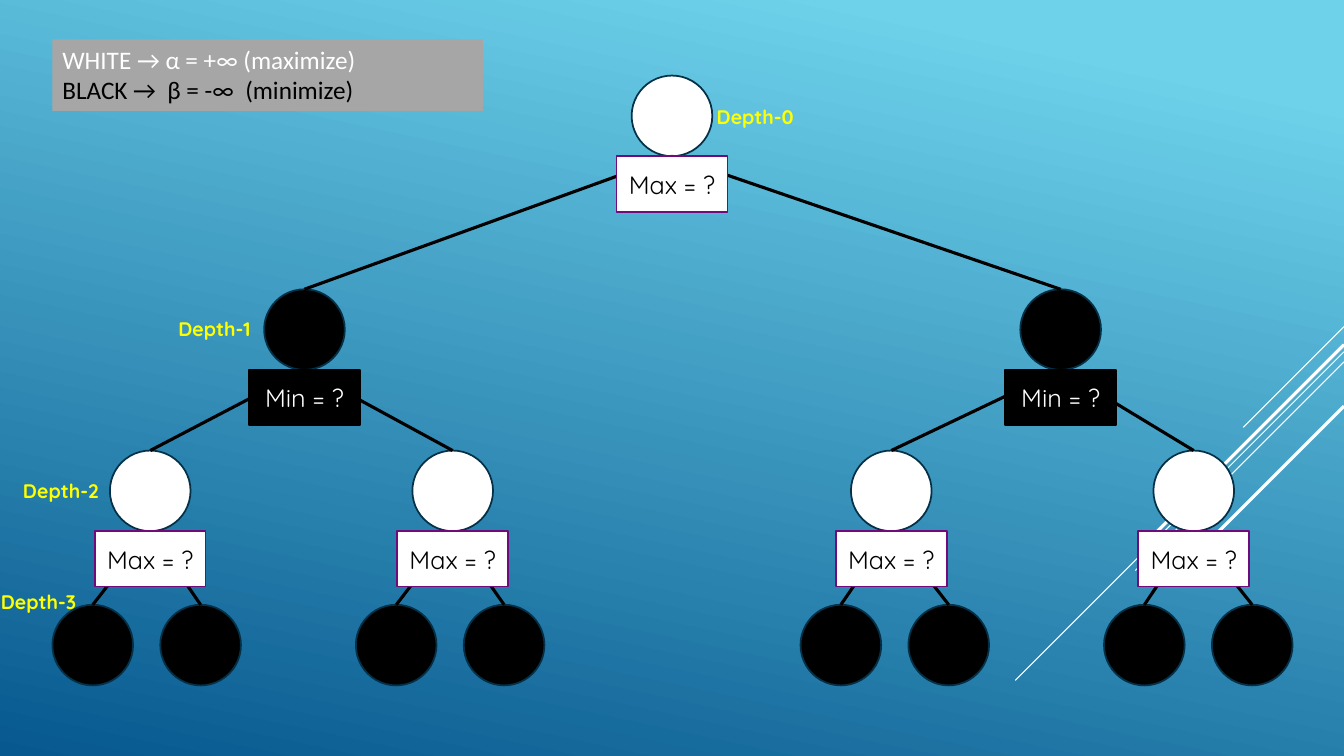
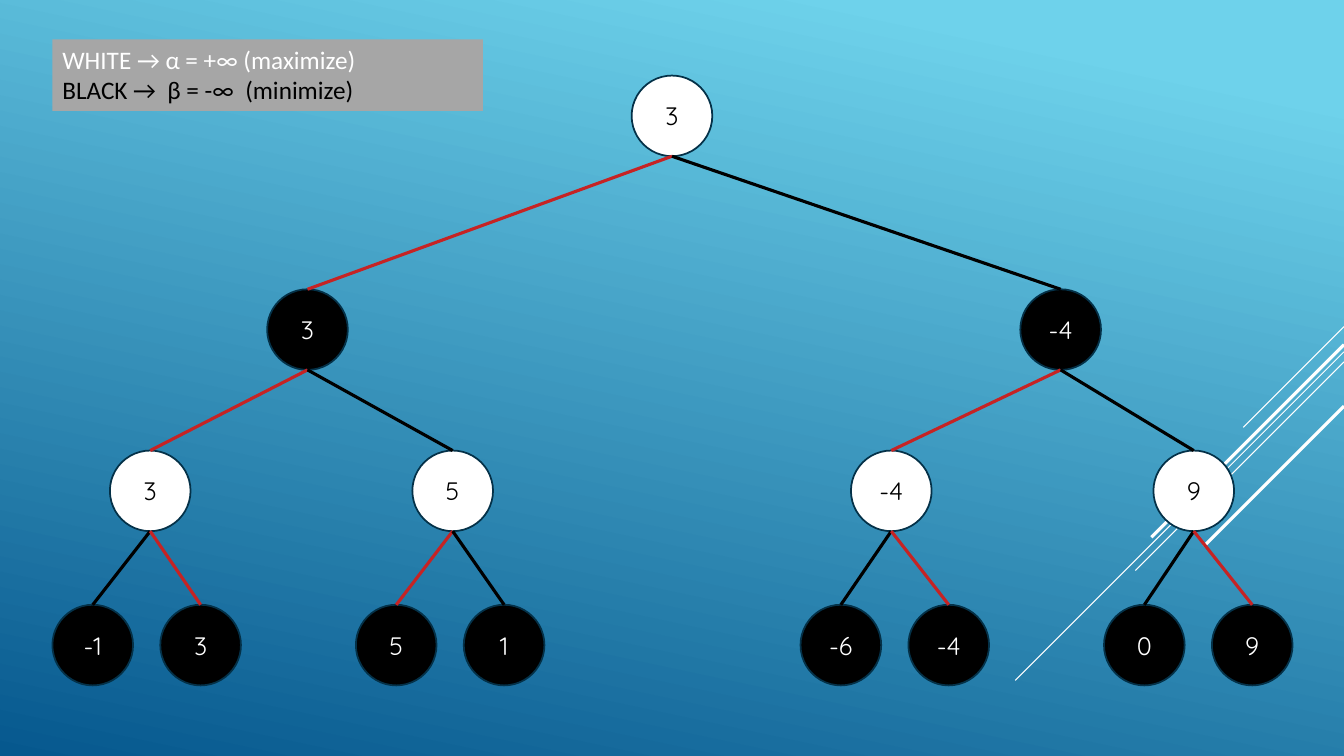
from dataclasses import dataclass
from typing import NamedTuple

from lxml import etree
from pptx import Presentation
from pptx.dml.color import RGBColor as RGB
from pptx.enum.shapes import MSO_CONNECTOR as CXN, MSO_SHAPE as SHAPE
from pptx.enum.text import MSO_ANCHOR as ANCHOR, PP_ALIGN as ALIGN
from pptx.oxml.ns import qn
from pptx.util import Inches, Pt

# Shared look
W, H = 13.33, 7.5
COLORS = {
    "sky": "6ED2EB", "deep": "06588E", "white": "FFFFFF", "black": "000000",
    "ring": "043148", "purple": "710A7A", "gray": "A6A6A6", "yellow": "FFFF00",
    "red": "C62324",
}
HEAD_FONT, BODY_FONT = "Calibri", "Quicksand"
DIAMETER = 0.8
BOX_W, BOX_H = 1.1, 0.55
TAG_W, TAG_H = 1.23, 0.34
LEVEL_TOPS = (0.75, 2.87, 4.47, 6.0)
BOTTOM_SITE = 4  # the circle has eight connection sites


class Streak(NamedTuple):
    top: float
    reach: float
    weight: float


class Tag(NamedTuple):
    text: str
    left: float
    top: float


@dataclass(frozen=True)
class Tree:
    left_min_x: float
    values: tuple[str, ...] = ()
    boxed: bool = False
    tags: tuple[Tag, ...] = ()


STREAKS = (
    Streak(3.24, 1.0, 0.75), Streak(3.49, 3.26, 0.75), Streak(3.59, 2.07, 0.75),
    Streak(3.42, 1.91, 2.25), Streak(4.03, 1.39, 2.25),
)
TREES = (
    Tree(3.02, boxed=True, tags=(
        Tag("Depth-0", 7.01, 0.99), Tag("Depth-1", 1.67, 3.09),
        Tag("Depth-2", 0.13, 4.7), Tag("Depth-3", -0.09, 5.8))),
    Tree(3.05, values=("3", "3", "-4", "3", "5", "-4", "9",
                       "-1", "3", "5", "1", "-6", "-4", "0", "9")),
)


def rgb(name: str) -> RGB:
    return RGB.from_string(COLORS[name])


def write(tf, text: str, *, color: str, size: int = 18, font: str = BODY_FONT,
          bold: bool = False, align=ALIGN.CENTER, first: bool = True) -> None:
    """Write one paragraph with its format."""
    tf.word_wrap = True
    p = tf.paragraphs[0] if first else tf.add_paragraph()
    p.alignment = align
    r = p.add_run()
    r.text = text
    r.font.name, r.font.size, r.font.bold = font, Pt(size), bold
    r.font.color.rgb = rgb(color)


def add_shape(slide, kind, left: float, top: float, width: float, height: float,
              fill: str, line: str | None = None):
    sp = slide.shapes.add_shape(kind, *map(Inches, (left, top, width, height)))
    sp.shadow.inherit = False
    sp.fill.solid()
    sp.fill.fore_color.rgb = rgb(fill)
    if line:
        sp.line.color.rgb = rgb(line)
        sp.line.width = Pt(1.25)
    else:
        sp.line.fill.background()
    sp.text_frame.vertical_anchor = ANCHOR.MIDDLE
    return sp


def add_line(slide, x1: float, y1: float, x2: float, y2: float,
             color: str, weight: float = 2.25):
    line = slide.shapes.add_connector(CXN.STRAIGHT, *map(Inches, (x1, y1, x2, y2)))
    line.line.color.rgb = rgb(color)
    line.line.width = Pt(weight)
    etree.SubElement(line._element.spPr, qn("a:effectLst"))
    return line


def depth_of(node: int) -> int:
    return (node + 1).bit_length() - 1


def center_x(tree: Tree, node: int) -> float:
    """Horizontal centre of a node, counted level by level from the root."""
    depth = depth_of(node)
    place = node + 1 - 2 ** depth
    if depth == 0:
        return W / 2
    if depth == 1:
        return (tree.left_min_x, 10.52)[place]
    if depth == 2:
        half, side = divmod(place, 2)
        return 1.49 + 7.35 * half + 3 * side
    half, rest = divmod(place, 4)
    pair, side = divmod(rest, 2)
    return 0.92 + 7.42 * half + 3.01 * pair + 1.07 * side


def node_colors(node: int) -> tuple[str, str]:
    """Fill and text: white maximizes on even depths, black minimizes on odd."""
    return ("black", "white") if depth_of(node) % 2 else ("white", "black")


def add_node(slide, tree: Tree, node: int):
    fill, ink = node_colors(node)
    sp = add_shape(slide, SHAPE.FLOWCHART_CONNECTOR,
                   center_x(tree, node) - DIAMETER / 2, LEVEL_TOPS[depth_of(node)],
                   DIAMETER, DIAMETER, fill, "ring")
    if tree.values:
        write(sp.text_frame, tree.values[node], color=ink)
    return sp


def add_edge(slide, tree: Tree, nodes: list, child: int) -> None:
    """Join a node to its parent, in red where the value is passed up."""
    parent = (child - 1) // 2
    chosen = tree.values and tree.values[child] == tree.values[parent]
    line = add_line(slide, center_x(tree, parent),
                    LEVEL_TOPS[depth_of(parent)] + DIAMETER,
                    center_x(tree, child), LEVEL_TOPS[depth_of(child)],
                    "red" if chosen else "black")
    etree.SubElement(line._element.nvCxnSpPr.cNvCxnSpPr, qn("a:stCxn"),
                     id=str(nodes[parent].shape_id), idx=str(BOTTOM_SITE))
    line.end_connect(nodes[child], 0)


def add_box(slide, tree: Tree, node: int) -> None:
    fill, ink = node_colors(node)
    minimizes = fill == "black"
    sp = add_shape(slide, SHAPE.RECTANGLE, center_x(tree, node) - BOX_W / 2,
                   LEVEL_TOPS[depth_of(node)] + DIAMETER, BOX_W, BOX_H,
                   fill, "black" if minimizes else "purple")
    tf = sp.text_frame
    tf.margin_left = tf.margin_right = Inches(0.05)
    write(tf, "Min = ?" if minimizes else "Max = ?", color=ink)


def add_legend(slide) -> None:
    tf = add_shape(slide, SHAPE.RECTANGLE, 0.52, 0.39, 4.27, 0.71, "gray").text_frame
    tf.vertical_anchor = ANCHOR.TOP
    style = dict(font=HEAD_FONT, align=ALIGN.LEFT)
    write(tf, "WHITE → α = +∞ (maximize)", color="white", **style)
    write(tf, "BLACK →  β = -∞  (minimize)", color="black", first=False, **style)


def add_tag(slide, tag: Tag) -> None:
    sp = slide.shapes.add_textbox(*map(Inches, (tag.left, tag.top, TAG_W, TAG_H)))
    write(sp.text_frame, tag.text, color="yellow", size=14, bold=True,
          align=ALIGN.LEFT)


def set_background(master) -> None:
    fill = master.background.fill
    fill.gradient()
    fill.gradient_angle = 360 - 102
    for stop, name, position in zip(fill.gradient_stops, ("sky", "deep"), (0.1, 1.0)):
        stop.color.rgb = rgb(name)
        stop.position = position


def build_slide(prs, tree: Tree) -> None:
    slide = prs.slides.add_slide(prs.slide_layouts[6])
    # Diagonal streaks
    for s in STREAKS:
        add_line(slide, W, s.top, W - s.reach, s.top + s.reach, "white", s.weight)
    # Game tree
    count = 2 ** len(LEVEL_TOPS) - 1
    nodes = [add_node(slide, tree, node) for node in range(count)]
    for child in range(1, count):
        add_edge(slide, tree, nodes, child)
    add_legend(slide)
    # Open values and depth tags
    if tree.boxed:
        for node in range(count // 2):
            add_box(slide, tree, node)
    for tag in tree.tags:
        add_tag(slide, tag)


def main() -> None:
    prs = Presentation()
    prs.slide_width, prs.slide_height = Inches(W), Inches(H)
    set_background(prs.slide_master)
    for tree in TREES:
        build_slide(prs, tree)
    prs.save("out.pptx")


if __name__ == "__main__":
    main()
